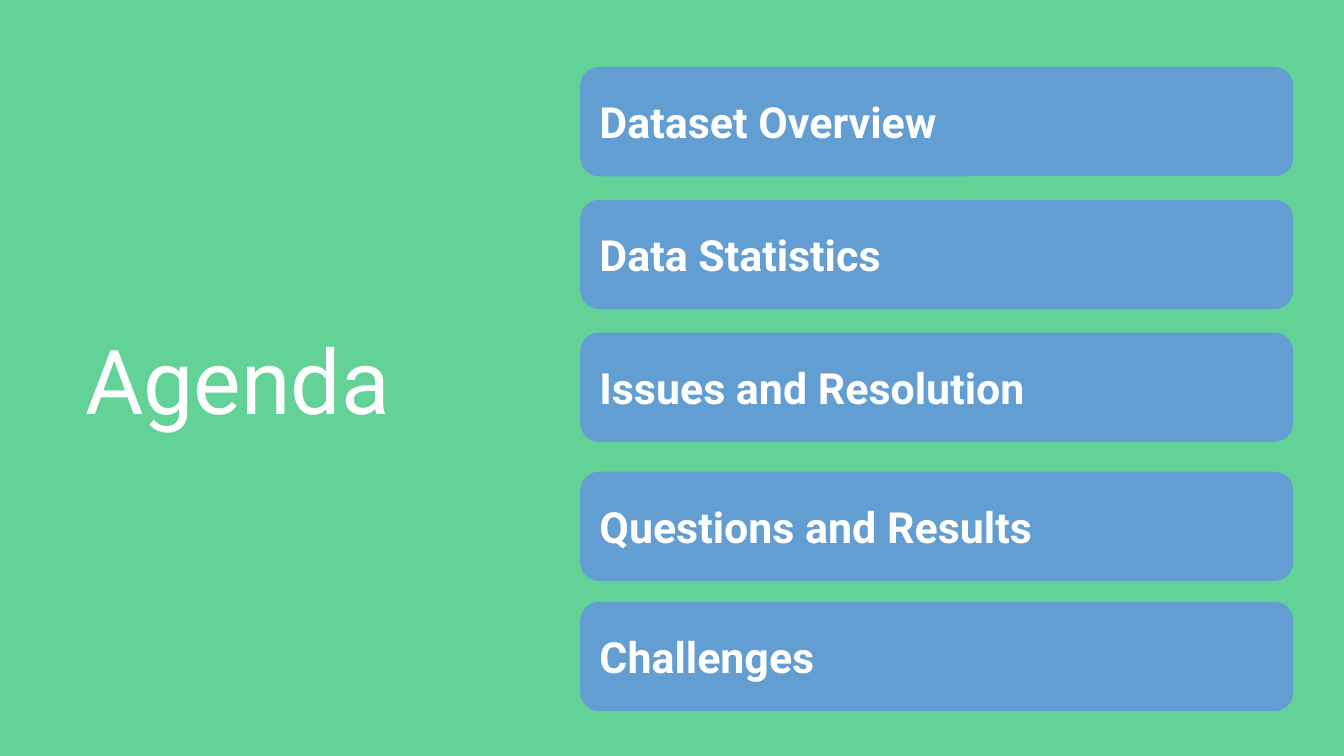
from dataclasses import dataclass

from pptx import Presentation
from pptx import util as u
from pptx.dml import color
from pptx.enum import shapes, text


@dataclass(frozen=True)
class Theme:
    """Colours, font and type sizes of the slide."""
    back: str = "63D297"
    bar: str = "639ED2"
    ink: str = "FFFFFF"
    font: str = "Roboto"
    head: int = 48
    item: int = 23


THEME = Theme()
ITEMS = [
    ("Dataset Overview", 1.28),
    ("Data Statistics", 3.79),
    ("Issues and Resolution", 6.3),
    ("Questions and Results", 8.93),
    ("Challenges", 11.39),
]


def rgb(code):
    """Turn a hex code into a colour."""
    return color.RGBColor.from_string(code)


def write(shape, words, size, bold=False):
    """Put left-aligned, vertically centred text into a shape."""
    frame = shape.text_frame
    frame.text = words
    frame.word_wrap = True
    frame.auto_size = text.MSO_AUTO_SIZE.NONE
    frame.vertical_anchor = text.MSO_ANCHOR.MIDDLE
    frame.margin_left = frame.margin_right = u.Cm(0.25)
    frame.margin_top = frame.margin_bottom = u.Cm(0.25)
    para = frame.paragraphs[0]
    para.alignment = text.PP_ALIGN.LEFT
    font = para.runs[0].font
    font.name, font.size, font.bold = THEME.font, u.Pt(size), bold
    font.color.rgb = rgb(THEME.ink)


def add_head(slide, words):
    """Place and format the title."""
    head = slide.shapes.title
    head.left, head.top = u.Cm(1.36), u.Cm(1.48)
    head.width, head.height = u.Cm(16.1), u.Cm(11.36)
    write(head, words, THEME.head)


def add_bar(slide, words, top):
    """Add one rounded agenda bar."""
    bar = slide.shapes.add_shape(
        shapes.MSO_SHAPE.ROUNDED_RECTANGLE,
        u.Cm(10.98), u.Cm(top), u.Cm(13.45), u.Cm(2.04))
    bar.shadow.inherit = False
    bar.fill.solid()
    bar.fill.fore_color.rgb = rgb(THEME.bar)
    bar.line.color.rgb = rgb(THEME.bar)
    bar.line.width = u.Pt(0.75)
    write(bar, words, THEME.item, bold=True)


def main():
    """Build and save the agenda slide."""
    deck = Presentation()
    deck.slide_width, deck.slide_height = u.Cm(25.4), u.Cm(14.29)
    slide = deck.slides.add_slide(deck.slide_layouts.get_by_name("Title Only"))
    fill = slide.background.fill
    fill.solid()
    fill.fore_color.rgb = rgb(THEME.back)
    add_head(slide, "Agenda")
    for words, top in ITEMS:
        add_bar(slide, words, top)
    deck.save("out.pptx")


if __name__ == "__main__":
    main()
